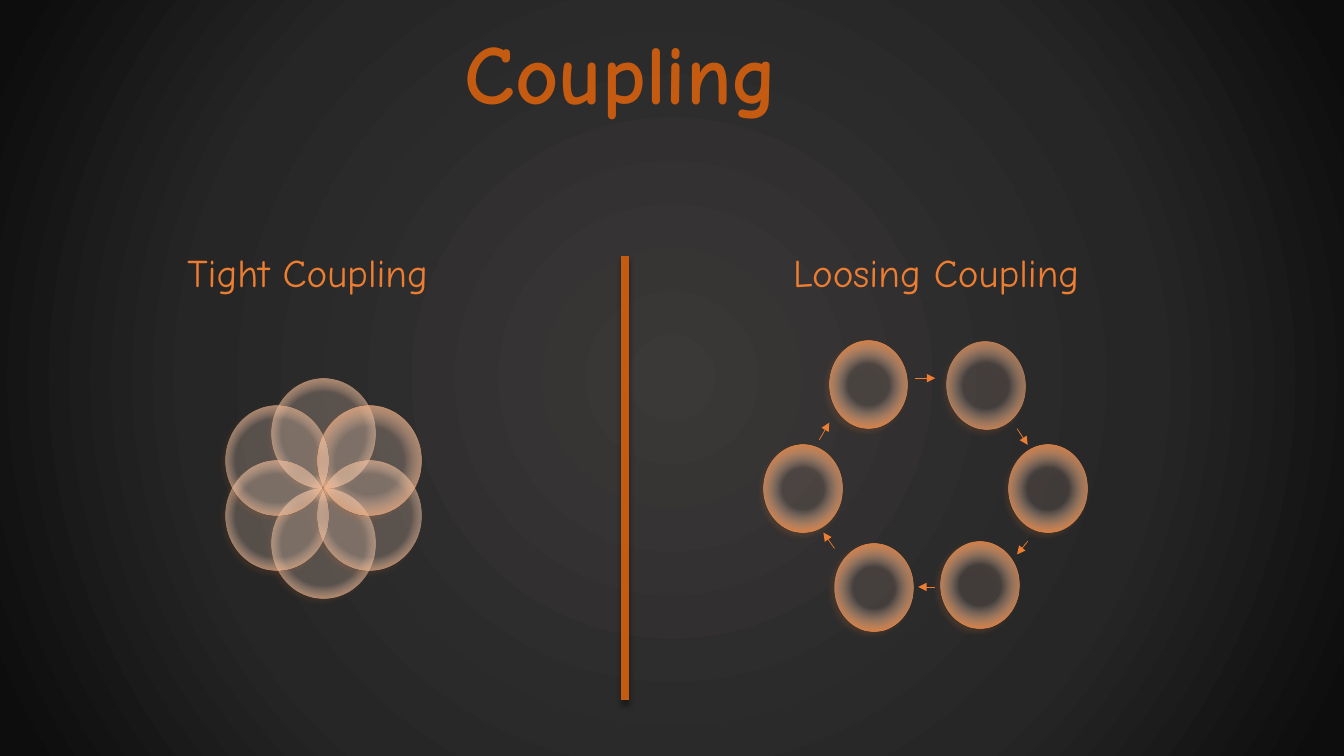
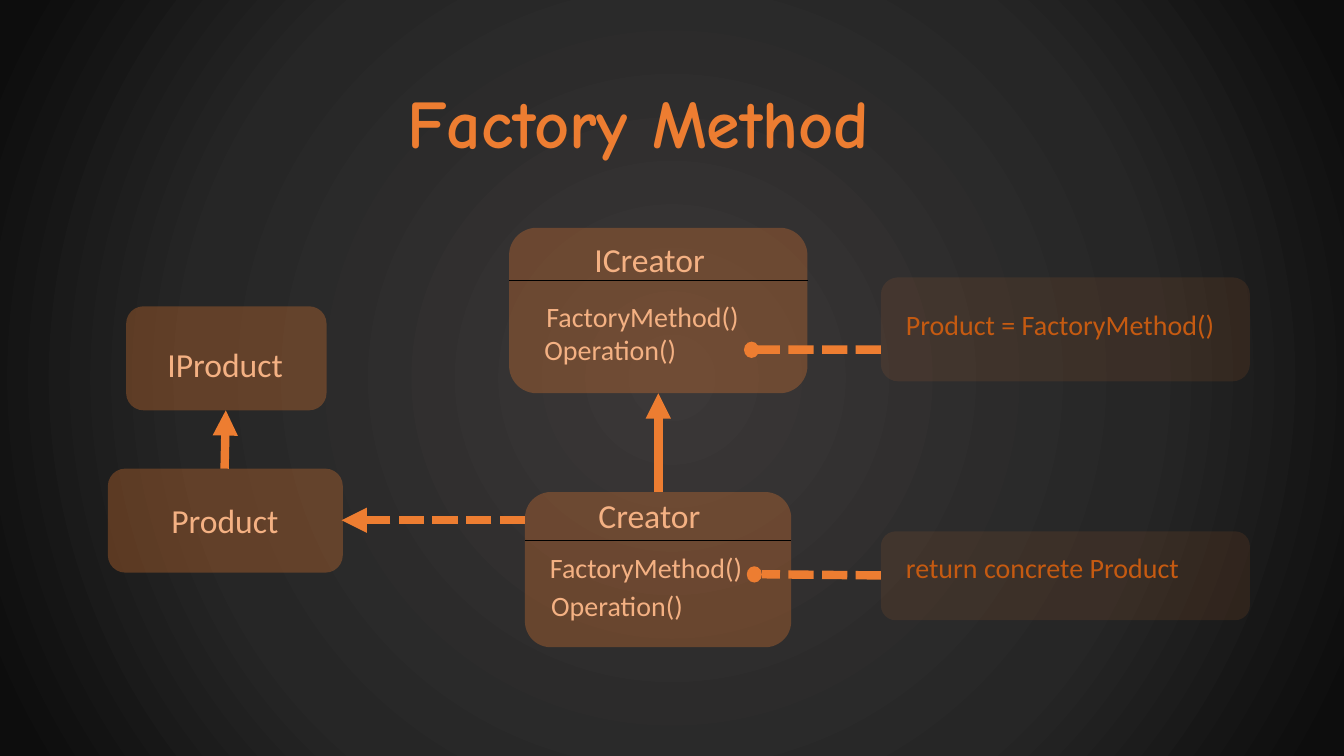
from math import cos, sin, radians

from lxml.etree import SubElement as Sub
from pptx import Presentation
from pptx.dml.color import RGBColor as Rgb
from pptx.enum.dml import MSO_LINE as Dash
from pptx.enum.shapes import MSO_CONNECTOR as Link, MSO_SHAPE as Kind
from pptx.enum.text import MSO_ANCHOR as Anchor, MSO_AUTO_SIZE as Fit, PP_ALIGN as Align
from pptx.oxml.ns import qn
from pptx.util import Cm, Pt

HUES = {
    "orange": "ED7D31", "rust": "C55A11", "peach": "F4B183",
    "cream": "FBE5D6", "glow": "F19A60", "black": "000000",
    "smoke": "3B3838", "coal": "262626", "night": "0D0D0D",
}
HAND, PLAIN = "Comic Neue", "Calibri"

# Gradient stops: position, hue, opacity (percent)
BACK = [(0, "smoke", 100), (62, "coal", 100), (97, "night", 100), (100, "night", 100)]
BALL = [(35, "cream", 10), (82, "orange", 100), (100, "rust", 60)]
# Shadows: hue, opacity (percent), angle
DROP, HALO = ("black", 40, 90), ("orange", 20, 135)


def petal(start):
    return [(start, "cream", 20), (87, "glow", 100), (100, "orange", 100)]


def rgb(hue):
    return Rgb.from_string(HUES[hue])


def tint(node, hue, alpha):
    color = Sub(node, qn("a:srgbClr"), val=HUES[hue])
    if alpha < 100:
        Sub(color, qn("a:alpha"), val=str(alpha * 1000))


def radial(fill, root, stops):
    """Give the fill held in root a gradient that spreads from its centre."""
    fill.gradient()
    grad = next(root.iter(qn("a:gradFill")))
    for child in list(grad):
        grad.remove(child)
    group = Sub(grad, qn("a:gsLst"))
    for pos, hue, alpha in stops:
        tint(Sub(group, qn("a:gs"), pos=str(pos * 1000)), hue, alpha)
    way = Sub(grad, qn("a:path"), path="circle")
    Sub(way, qn("a:fillToRect"), {side: "50000" for side in "ltrb"})


def shade(effect, look):
    hue, alpha, angle = look
    node = Sub(effect, qn("a:outerShdw"), blurRad=str(Pt(4)), dist=str(Pt(3)),
               dir=str(angle * 60000), algn="ctr", rotWithShape="0")
    tint(node, hue, alpha)


def write(frame, text, size, hue, font, bold=False, drop=False):
    par = frame.paragraphs[0]
    par.alignment = Align.LEFT
    run = par.add_run()
    run.text = text
    run.font.size, run.font.bold, run.font.name = Pt(size), bold, font
    run.font.color.rgb = rgb(hue)
    if drop:
        props = run.font.fill._xPr
        effect = Sub(props, qn("a:effectLst"))
        props.find(qn("a:solidFill")).addnext(effect)
        shade(effect, DROP)


def label(slide, box, text, size, hue, font=PLAIN, drop=False):
    frame = slide.shapes.add_textbox(*map(Cm, box)).text_frame
    frame.word_wrap = True
    write(frame, text, size, hue, font, drop=drop)


def head(slide, box, text, size, hue, drop=False):
    title = slide.shapes.title
    title.left, title.top, title.width, title.height = map(Cm, box)
    frame = title.text_frame
    frame.auto_size, frame.vertical_anchor = Fit.NONE, Anchor.MIDDLE
    write(frame, text, size, hue, HAND, True, drop)
    frame.paragraphs[0].line_spacing = 0.9


def line(slide, ends, hue, width, dash=False, tip=False, look=None):
    link = slide.shapes.add_connector(Link.STRAIGHT, *map(Cm, ends))
    link.line.color.rgb, link.line.width = rgb(hue), Pt(width)
    if dash:
        link.line.dash_style = Dash.SQUARE_DOT
    props = link.element.spPr
    if tip:
        Sub(props.find(qn("a:ln")), qn("a:tailEnd"), type="triangle")
    effect = Sub(props, qn("a:effectLst"))
    if look:
        shade(effect, look)


def plain(shapes, kind, box):
    """Add a preset shape without outline or shadow."""
    shape = shapes.add_shape(kind, *map(Cm, box))
    shape.line.fill.background()
    shape.shadow.inherit = False
    return shape


def orb(shapes, box, stops):
    shape = plain(shapes, Kind.OVAL, box)
    radial(shape.fill, shape.element.spPr, stops)
    shade(shape.element.spPr.find(qn("a:effectLst")), HALO)
    return shape


def flower(slide, x, y):
    """Six petals that all meet at the centre x, y."""
    wide, high = 2.6, 2.77
    group = slide.shapes.add_group_shape()
    for angle in (90, 270, 330, 30, 210, 150):
        mid = x + wide / 2 * 1.03 * cos(radians(angle))
        low = y - high / 2 * sin(radians(angle))
        box = (mid - wide / 2, low - high / 2, wide, high)
        orb(group.shapes, box, petal(45 if angle == 30 else 55))


def ring(slide, x, y):
    """Six separate balls linked clockwise by small arrows."""
    balls = [(1.65, 0, 0), (4.45, 5.05, 0), (6.17, 2.62, 0),
             (4.62, 0.03, 354.3), (1.78, 5.11, 0), (0, 2.62, 0)]
    for left, top, turn in balls:
        orb(slide.shapes, (x + left, y + top, 1.98, 2.21), BALL).rotation = turn
    arrows = [(6.38, 2.21, 6.65, 2.62), (6.65, 5.05, 6.38, 5.38),
              (4.32, 6.2, 3.89, 6.2), (1.78, 5.23, 1.5, 4.83),
              (1.4, 2.49, 1.65, 2.06), (3.81, 0.94, 4.32, 0.94)]
    for x1, y1, x2, y2 in arrows:
        line(slide, (x + x1, y + y1, x + x2, y + y2), "orange", 0.5, tip=True)


def panel(slide, box, alpha):
    shape = plain(slide.shapes, Kind.ROUNDED_RECTANGLE, box)
    shape.fill.solid()
    shape.fill.fore_color.rgb = rgb("orange")
    color = shape.element.spPr.find(qn("a:solidFill"))[0]
    Sub(color, qn("a:alpha"), val=str(alpha * 1000))


def card(slide, box, name, spot, rule=0, calls=()):
    """Class box: its name, then a rule and its methods if it has any."""
    x, y, wide, _ = box
    panel(slide, box, 30)
    label(slide, (x + spot[0], y + spot[1], 3.51, 1.27), name, 24, "peach")
    for text, left, top in calls:
        label(slide, (x + left, y + top, 5.77, 1.12), text, 20, "peach")
    if rule:
        line(slide, (x, y + rule, x + wide, y + rule), "black", 0.5)


def note(slide, box, text, top):
    x, y, wide, _ = box
    panel(slide, box, 10)
    label(slide, (x + 0.38, y + top, wide + 0.53, 1.12), text, 20, "rust")


def lead(slide, x, y, end, low):
    """Dashed line from a note back to a knob beside a method."""
    knob = plain(slide.shapes, Kind.OVAL, (x, y, 0.38, 0.41))
    knob.fill.solid()
    knob.fill.fore_color.rgb = rgb("orange")
    line(slide, (22.2, low, end, y + 0.2), "orange", 6, dash=True)


def couple(slide):
    head(slide, (11.46, 0.1, 9.96, 3.68), "Coupling", 60, "rust", drop=True)
    for text, x, wide in (("Tight Coupling", 4.47, 9.65), ("Loosing Coupling", 19.74, 8.43)):
        label(slide, (x, 6.12, wide, 1.45), text, 28, "orange", HAND, True)
    line(slide, (15.75, 6.45, 15.75, 17.65), "rust", 6, look=DROP)
    flower(slide, 8.15, 12.3)
    ring(slide, 19.25, 8.59)


def factory(slide):
    head(slide, (10.01, 1.35, 14.27, 3.68), "Factory Method", 48.6, "orange")
    make, run = "FactoryMethod()", "Operation()"
    card(slide, (12.83, 5.74, 7.52, 4.17), "ICreator", (1.9, 0.15), 1.32,
         [(make, 0.69, 1.68), (run, 0.64, 2.51)])
    card(slide, (13.23, 12.4, 6.71, 3.91), "Creator", (1.6, -0.05), 1.22,
         [(make, 0.38, 1.35), (run, 0.41, 2.31)])
    card(slide, (3.18, 7.72, 5.05, 2.62), "IProduct", (0.79, 0.81))
    card(slide, (2.72, 11.81, 5.92, 2.62), "Product", (1.35, 0.66))
    note(slide, (22.2, 6.99, 9.3, 2.62), "Product = FactoryMethod()", 0.64)
    note(slide, (22.2, 13.39, 9.3, 2.24), "return concrete Product", 0.36)
    line(slide, (5.66, 11.81, 5.69, 10.34), "orange", 6, tip=True)
    line(slide, (16.59, 12.4, 16.59, 9.91), "orange", 6, tip=True)
    line(slide, (13.23, 13.11, 8.61, 13.11), "orange", 6, dash=True, tip=True)
    lead(slide, 18.75, 8.61, 18.95, 8.81)
    lead(slide, 18.82, 14.27, 19.2, 14.5)


def main():
    deck = Presentation()
    deck.slide_width, deck.slide_height = Cm(33.87), Cm(19.05)
    master = deck.slide_master
    radial(master.background.fill, master.element.cSld, BACK)
    for build in (couple, factory):
        build(deck.slides.add_slide(deck.slide_layouts[5]))
    deck.save("out.pptx")


if __name__ == "__main__":
    main()
